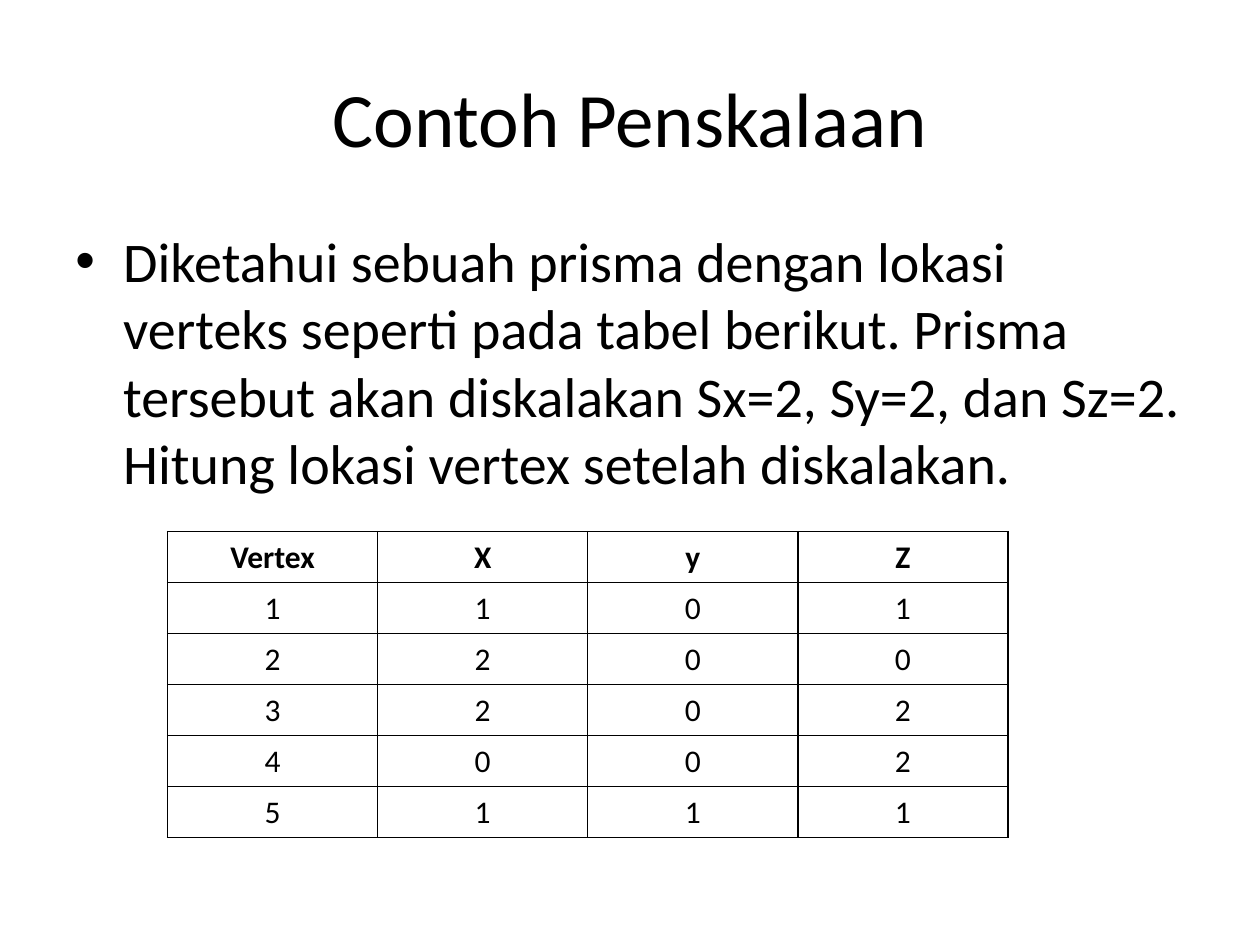
from lxml import etree
from pptx import Presentation
from pptx import util as u
from pptx.dml.color import RGBColor
from pptx.enum import text
from pptx.oxml.ns import qn

FONT = "Calibri"
BLACK = "000000"
TITLE = "Contoh Penskalaan"
PROBLEM = (
    "Diketahui sebuah prisma dengan lokasi verteks seperti pada tabel berikut. "
    "Prisma tersebut akan diskalakan Sx=2, Sy=2, dan Sz=2. "
    "Hitung lokasi vertex setelah diskalakan."
)
VERTICES = [
    ("Vertex", "X", "y", "Z"),
    (1, 1, 0, 1),
    (2, 2, 0, 0),
    (3, 2, 0, 2),
    (4, 0, 0, 2),
    (5, 1, 1, 1),
]


def color(value):
    """Turn a hex string into a colour."""
    return RGBColor.from_string(value)


def write(frame, words, size, bold=False, align=text.PP_ALIGN.LEFT,
          anchor=text.MSO_ANCHOR.TOP, bullet=None, indent=0):
    """Write one formatted paragraph into a text frame."""
    frame.word_wrap = True
    frame.vertical_anchor = anchor
    para = frame.paragraphs[0]
    para.alignment = align
    if bullet:
        props = para._p.get_or_add_pPr()
        props.set("marL", str(u.Inches(indent)))
        props.set("indent", str(-u.Inches(indent)))
        etree.SubElement(props, qn("a:buFont"), typeface="Arial")
        etree.SubElement(props, qn("a:buChar"), char=bullet)
    span = para.add_run()
    span.text = words
    span.font.name = FONT
    span.font.size = u.Pt(size)
    span.font.bold = bold
    span.font.color.rgb = color(BLACK)


def add_text(page, box, words, size, **style):
    """Place a text box in the given box."""
    shape = page.shapes.add_textbox(*map(u.Inches, box))
    write(shape.text_frame, words, size, **style)


def outline(cell, line_color, width):
    """Draw a line on all four sides of a cell."""
    props = cell._tc.get_or_add_tcPr()
    for position, side in enumerate(("lnL", "lnR", "lnT", "lnB")):
        line = etree.Element(qn(f"a:{side}"), w=str(u.Pt(width)))
        fill = etree.SubElement(line, qn("a:solidFill"))
        etree.SubElement(fill, qn("a:srgbClr"), val=line_color)
        props.insert(position, line)


def add_vertex_table(page, box, rows):
    """Place the vertex table with equal columns and rows in the given box."""
    left, top, width, height = map(u.Inches, box)
    count = len(rows[0])
    table = page.shapes.add_table(len(rows), count, left, top, width, height).table
    table.horz_banding = False
    for row_index, row in enumerate(rows):
        for column_index, value in enumerate(row):
            cell = table.cell(row_index, column_index)
            cell.fill.background()
            outline(cell, BLACK, 1)
            write(cell.text_frame, str(value), 18, bold=row_index == 0,
                  align=text.PP_ALIGN.CENTER)


def main():
    """Build and save the slide."""
    deck = Presentation()
    deck.slide_width, deck.slide_height = u.Inches(10), u.Inches(7.5)
    page = deck.slides.add_slide(deck.slide_layouts[6])
    add_text(page, (0.5, 0.3, 9, 1.25), TITLE, 44,
             align=text.PP_ALIGN.CENTER, anchor=text.MSO_ANCHOR.MIDDLE)
    add_text(page, (0.5, 1.75, 9, 4.95), PROBLEM, 32, bullet="•", indent=0.38)
    add_vertex_table(page, (1.33, 4.22, 6.67, 2.43), VERTICES)
    deck.save("out.pptx")


if __name__ == "__main__":
    main()
